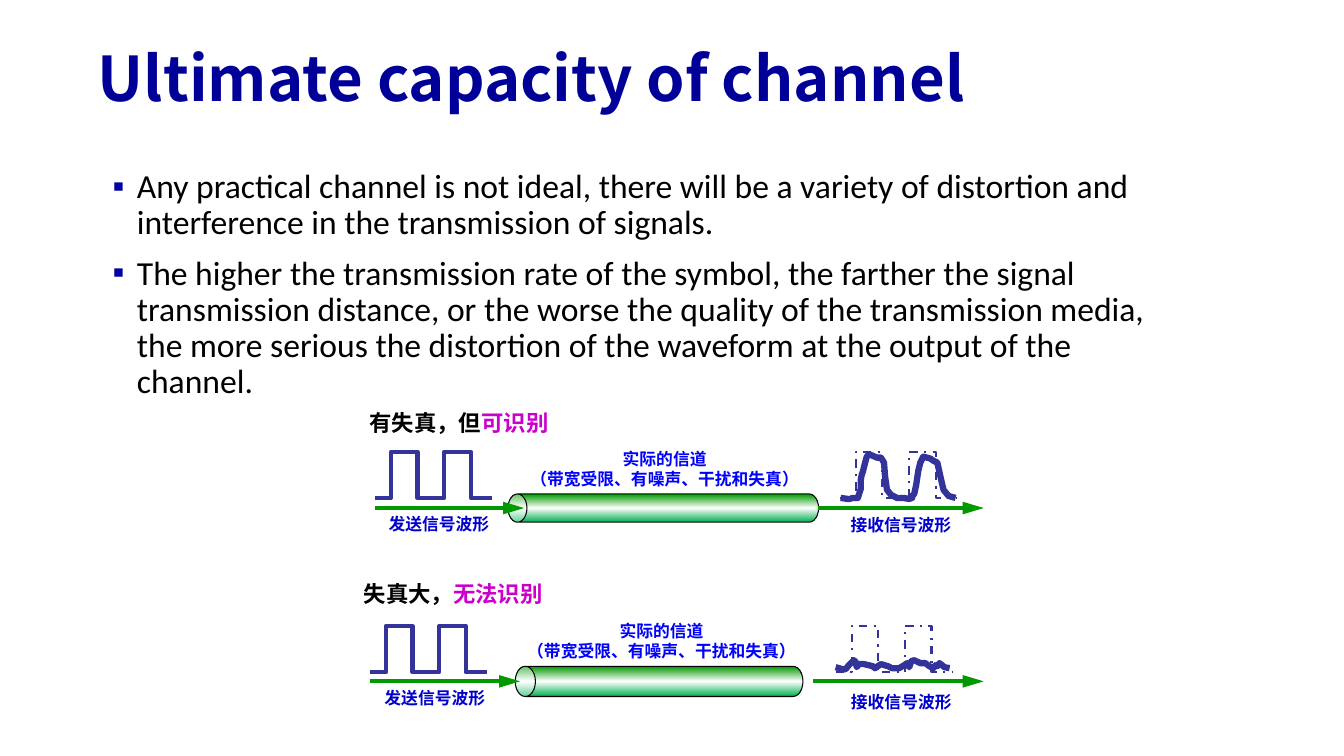
import copy
from dataclasses import dataclass
from itertools import accumulate

import pptx
import pptx.dml.color
import pptx.enum.dml
import pptx.enum.shapes
import pptx.enum.text
import pptx.oxml
import pptx.oxml.ns
import pptx.util

COLOURS = {
    "title": "000099", "bullet": "0000A3", "text": "000000", "verdict": "CC00CC",
    "channel": "0000FF", "caption": "0000CC", "signal": "333399", "arrow": "009900",
    "pipe_start": "00B050", "pipe_middle": "FFFFFF", "pipe_end": "009900",
}
HEADING_FONT = "Noto Sans CJK SC"
BODY_FONT = "Calibri"
BULLETS = [
    "Any practical channel is not ideal, there will be a variety of distortion and "
    "interference in the transmission of signals.",
    "The higher the transmission rate of the symbol, the farther the signal transmission "
    "distance, or the worse the quality of the transmission media, the more serious the "
    "distortion of the waveform at the output of the channel.",
]
PULSE_STEPS = [11.5, 19, 19, 19, 15.5]
PULSE_HEIGHT = 33
RECOGNISABLE = [
    (0.7, 0), (5.8, 0.7), (7.2, 0.7), (9.4, 0), (13, 0), (15.1, -6.5), (15.1, -13),
    (15.8, -16.6), (16.6, -18.7), (18, -24.5), (19.4, -29.5), (20.9, -31), (21.6, -31),
    (26.6, -28.8), (29.5, -28.8), (31.7, -25.2), (32.4, -15.8), (33.8, -5.8),
    (36.7, -2.2), (41, 0), (45.4, 0), (49.7, 0.7), (51.8, 0), (51.8, -1.4),
    (53.3, -2.9), (54.7, -9.4), (56.2, -19.4), (57.6, -25.2), (59.8, -29.5),
    (64.8, -28.1), (67, -26.6), (69.8, -25.2), (70.6, -21.6), (72.7, -12.2),
    (74.2, -5.8), (77.8, -1.4), (82.8, 0),
]
UNRECOGNISABLE = [
    (0, -3.6), (5, -2.2), (7.2, -2.2), (9.4, -5), (13, -8.6), (14.4, -7.2),
    (15.1, -3.6), (16.6, -5.8), (20.2, -5.8), (26.6, -4.3), (28.1, -2.9),
    (32.4, -5.8), (37.4, -4.3), (40.3, -2.9), (45.4, -2.9), (49, -5), (51.1, -6.5),
    (52.6, -3.6), (54, -7.9), (56.2, -8.6), (60.5, -6.5), (64.1, -6.5), (67, -4.3),
    (69.8, -2.9), (71.3, -5), (72.7, -4.3), (74.2, -6.5), (77.8, -3.6), (81.4, -2.9),
]


@dataclass(frozen=True)
class Frame:
    left: float
    top: float
    width: float
    height: float


@dataclass(frozen=True)
class Channel:
    finding: str
    verdict: str
    finding_frame: Frame
    line_spacing: float
    sent_left: float
    received_left: float
    baseline: float
    axis: float
    sent_arrow_end: float
    received_arrow_start: float
    pipe: Frame
    channel_frame: Frame
    sent_frame: Frame
    received_frame: Frame
    trace: list[tuple[float, float]]


CHANNELS = [
    Channel("有失真，但", "可识别", Frame(257, 286.5, 144, 29), 1.1, 267.8, 599.8, 355.7,
            362.9, 374.4, 584.6, Frame(362.9, 352.8, 221.8, 20.2),
            Frame(370.8, 316.8, 208, 36), Frame(270, 363.6, 87, 21.6),
            Frame(591.1, 364.3, 105, 21.6), RECOGNISABLE),
    Channel("失真大，", "无法识别", Frame(252.7, 411, 148, 27), 1, 264.2, 596.9, 480.2,
            486.7, 371.5, 581, Frame(368, 475.9, 205.6, 21.6),
            Frame(368.6, 440, 208, 36.7), Frame(267.1, 487.4, 87, 21.6),
            Frame(593.3, 490.3, 101, 21.6), UNRECOGNISABLE),
]


def rgb(name: str) -> pptx.dml.color.RGBColor:
    return pptx.dml.color.RGBColor.from_string(COLOURS[name])


def add_element(parent, tag: str, **attributes: str):
    element = pptx.oxml.parse_xml(f"<{tag} {pptx.oxml.ns.nsdecls('a')}/>")
    for name, value in attributes.items():
        element.set(name, value)
    parent.append(element)
    return element


def format_span(span, font: str, size: float, colour: str, bold: bool) -> None:
    span.font.name = font
    span.font.size = pptx.util.Pt(size)
    span.font.bold = bold
    span.font.color.rgb = rgb(colour)
    add_element(span.font._element, "a:ea", typeface=font)


def place(box, frame: Frame) -> None:
    box.left, box.top = pptx.util.Pt(frame.left), pptx.util.Pt(frame.top)
    box.width, box.height = pptx.util.Pt(frame.width), pptx.util.Pt(frame.height)


def fill_title(box) -> None:
    place(box, Frame(62.6, 23, 828, 70.6))
    box.text_frame.text = "Ultimate capacity of channel"
    box.text_frame.auto_size = pptx.enum.text.MSO_AUTO_SIZE.NONE
    box.text_frame.vertical_anchor = pptx.enum.text.MSO_ANCHOR.MIDDLE
    para = box.text_frame.paragraphs[0]
    para.alignment = pptx.enum.text.PP_ALIGN.LEFT
    para.line_spacing = 0.9
    format_span(para.runs[0], HEADING_FONT, 44, "title", True)


def fill_body(box) -> None:
    place(box, Frame(62.6, 117.4, 765.4, 174.2))
    box.text_frame.text = "\n".join(BULLETS)
    box.text_frame.auto_size = pptx.enum.text.MSO_AUTO_SIZE.NONE
    for index, para in enumerate(box.text_frame.paragraphs):
        properties = para._p.get_or_add_pPr()
        properties.set("marL", str(pptx.util.Pt(28)))
        properties.set("indent", str(pptx.util.Pt(-17.3)))
        add_element(add_element(properties, "a:buClr"), "a:srgbClr", val=COLOURS["bullet"])
        add_element(properties, "a:buChar", char="▪")
        para.line_spacing = 0.9
        para.space_before = pptx.util.Pt(10 if index else 0)
        format_span(para.runs[0], BODY_FONT, 24, "text", False)


def add_label(page, text: str, frame: Frame, size: float, colour: str, wrap: bool = False):
    box = page.shapes.add_textbox(0, 0, 0, 0)
    place(box, frame)
    box.text_frame.text = text
    box.text_frame.word_wrap = wrap
    box.text_frame.auto_size = pptx.enum.text.MSO_AUTO_SIZE.SHAPE_TO_FIT_TEXT
    for para in box.text_frame.paragraphs:
        para.alignment = pptx.enum.text.PP_ALIGN.CENTER
        format_span(para.runs[0], HEADING_FONT, size, colour, True)
    return box


def add_finding(page, channel: Channel) -> None:
    box = add_label(page, channel.finding, channel.finding_frame, 16, "text")
    para = box.text_frame.paragraphs[0]
    para.alignment = pptx.enum.text.PP_ALIGN.LEFT
    para.line_spacing = channel.line_spacing
    span = para.add_run()
    span.text = channel.verdict
    format_span(span, HEADING_FONT, 16, "verdict", True)


def add_wave(page, points: list[tuple[float, float]], left: float, baseline: float,
             weight: float, dashed: bool = False) -> None:
    corners = [(pptx.util.Pt(left + x), pptx.util.Pt(baseline + y)) for x, y in points]
    builder = page.shapes.build_freeform(*corners[0])
    builder.add_line_segments(corners[1:], close=False)
    wave = builder.convert_to_shape()
    wave.shadow.inherit = False
    wave.fill.background()
    wave.line.color.rgb = rgb("signal")
    wave.line.width = pptx.util.Pt(weight)
    if dashed:
        wave.line.dash_style = pptx.enum.dml.MSO_LINE.DASH_DOT


def pulse_points() -> list[tuple[float, float]]:
    edges = list(accumulate(PULSE_STEPS, initial=0))
    points = []
    for index, (start, end) in enumerate(zip(edges, edges[1:])):
        level = -PULSE_HEIGHT if index % 2 else 0
        points += [(start, level), (end, level)]
    return points


def add_arrow(page, start: float, end: float, axis: float) -> None:
    arrow = page.shapes.add_connector(
        pptx.enum.shapes.MSO_CONNECTOR.STRAIGHT,
        pptx.util.Pt(start), pptx.util.Pt(axis), pptx.util.Pt(end), pptx.util.Pt(axis))
    arrow.line.color.rgb = rgb("arrow")
    arrow.line.width = pptx.util.Pt(3)
    add_element(arrow.line._get_or_add_ln(), "a:tailEnd", type="triangle", w="med", len="lg")
    add_element(arrow._element.spPr, "a:effectLst")


def add_pipe(page, frame: Frame) -> None:
    pipe = page.shapes.add_shape(pptx.enum.shapes.MSO_SHAPE.CAN, 0, 0, 0, 0)
    place(pipe, Frame(frame.left + (frame.width - frame.height) / 2,
                      frame.top + (frame.height - frame.width) / 2,
                      frame.height, frame.width))
    pipe.rotation = 270
    pipe.adjustments[0] = 0.67
    pipe.shadow.inherit = False
    pipe.fill.gradient()
    pipe.fill.gradient_angle = 0
    stop_list = pipe._element.spPr.find(".//" + pptx.oxml.ns.qn("a:gsLst"))
    stop_list.append(copy.deepcopy(stop_list[0]))
    names = ["pipe_start", "pipe_middle", "pipe_end"]
    for index, (stop, name) in enumerate(zip(pipe.fill.gradient_stops, names)):
        stop.position = index / 2
        stop.color.rgb = rgb(name)
    pipe.line.color.rgb = rgb("text")
    pipe.line.width = pptx.util.Pt(0.75)


def add_channel(page, channel: Channel) -> None:
    add_pipe(page, channel.pipe)
    add_wave(page, pulse_points(), channel.sent_left, channel.baseline, 3)
    add_arrow(page, channel.sent_left, channel.sent_arrow_end, channel.axis)
    add_wave(page, pulse_points(), channel.received_left, channel.baseline, 1.5, True)
    add_arrow(page, channel.received_arrow_start, 702.7, channel.axis)
    add_wave(page, channel.trace, channel.received_left, channel.baseline, 4.5)
    add_label(page, "实际的信道\n（带宽受限、有噪声、干扰和失真）", channel.channel_frame, 12, "channel")
    add_label(page, "发送信号波形", channel.sent_frame, 12, "caption")
    add_label(page, "接收信号波形", channel.received_frame, 12, "caption", True)
    add_finding(page, channel)


def main() -> None:
    deck = pptx.Presentation()
    deck.slide_width, deck.slide_height = pptx.util.Pt(960), pptx.util.Pt(540)
    page = deck.slides.add_slide(deck.slide_layouts[1])
    fill_title(page.shapes.title)
    fill_body(page.placeholders[1])
    for channel in CHANNELS:
        add_channel(page, channel)
    deck.save("out.pptx")


if __name__ == "__main__":
    main()
